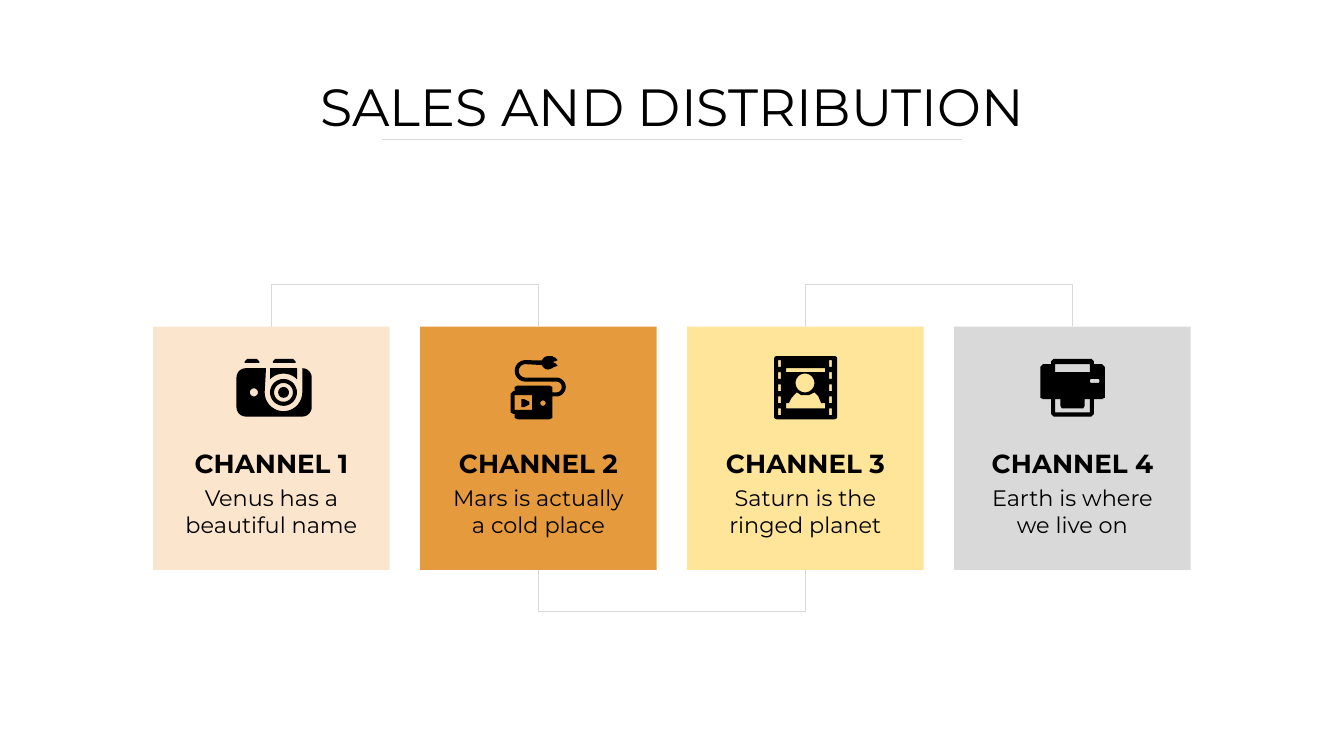
import math

from lxml import etree
from pptx import Presentation, util as u
from pptx.dml.color import RGBColor
from pptx.enum import shapes, text
from pptx.oxml import ns

INK, GREY = "000000", "D9D9D9"


def rgb(code):
    return RGBColor.from_string(code)


# Outline helpers: each gives a list of points in inches
def arc(x, y, r, start, end):
    steps = max(2, math.ceil(abs(end - start) / 10))
    turns = [math.radians(start + (end - start) * i / steps) for i in range(steps + 1)]
    return [(x + r * math.cos(t), y + r * math.sin(t)) for t in turns]


def disc(x, y, r):
    return arc(x, y, r, 0, 360)


def box(x, y, w, h, r=0):
    if not r:
        return [(x, y), (x + w, y), (x + w, y + h), (x, y + h)]
    return (arc(x + r, y + r, r, 180, 270) + arc(x + w - r, y + r, r, 270, 360)
            + arc(x + w - r, y + h - r, r, 0, 90) + arc(x + r, y + h - r, r, 90, 180))


def cap(x, y, w):
    return [(x, y + 0.03), (x, y + 0.02), (x + 0.02, y), (x + w - 0.02, y),
            (x + w, y + 0.02), (x + w, y + 0.03)]


class Deck:
    font = "Montserrat"

    def __init__(self, w, h):
        self.prs = Presentation()
        self.prs.slide_width, self.prs.slide_height = u.Inches(w), u.Inches(h)
        self.slide = self.prs.slides.add_slide(self.prs.slide_layouts[6])
        self.items = self.slide.shapes

    def paint(self, shape, fill):
        shape.shadow.inherit = False
        shape.fill.solid()
        shape.fill.fore_color.rgb = rgb(fill)
        shape.line.fill.background()

    def rect(self, x, y, w, h, fill):
        shape = self.items.add_shape(shapes.MSO_SHAPE.RECTANGLE, *map(u.Inches, (x, y, w, h)))
        self.paint(shape, fill)
        return shape

    def text(self, words, x, y, w, h, size, bold=False, anchor=text.MSO_ANCHOR.TOP):
        frame = self.items.add_textbox(*map(u.Inches, (x, y, w, h))).text_frame
        frame.word_wrap = True
        frame.vertical_anchor = anchor
        frame.margin_left = frame.margin_right = u.Inches(0.1)
        frame.margin_top = frame.margin_bottom = u.Inches(0.1)
        para = frame.paragraphs[0]
        para.text = words
        para.alignment = text.PP_ALIGN.CENTER
        font = para.font
        font.name, font.size, font.bold = self.font, u.Pt(size), bold
        font.color.rgb = rgb(INK)

    def line(self, kind, *ends):
        link = self.items.add_connector(kind, *map(u.Inches, ends))
        link.line.color.rgb = rgb(GREY)
        link.line.width = u.Pt(0.75)
        etree.SubElement(link._element.spPr, ns.qn("a:effectLst"))
        return link

    def loop(self, a, b, site, rise):
        """Join two cards with an elbow that runs above or below them."""
        link = self.line(shapes.MSO_CONNECTOR.ELBOW, 0, 0, 1, 0)
        link.begin_connect(a, site)
        link.end_connect(b, site)
        x, y, span = link.begin_x, link.begin_y, link.end_x - link.begin_x
        # A quarter turn makes the elbow leave the card upright
        thin = 600
        link.left, link.top = x + (span - thin) // 2, y - span // 2
        link.width, link.height = thin, span
        frame = link._element.spPr.find(ns.qn("a:xfrm"))
        frame.set("rot", "16200000")
        frame.set("flipH", "1")
        guides = link._element.spPr.find(ns.qn("a:prstGeom")).get_or_add_avLst()
        bend = round(u.Inches(rise) / thin * 100000)
        etree.SubElement(guides, ns.qn("a:gd"), name="adj1", fmla=f"val {bend}")

    def icon(self, *parts):
        """Draw parts, each a list of an outline and its holes."""
        home = self.items.add_group_shape().shapes if len(parts) > 1 else self.items
        for part in parts:
            rings = [[(u.Inches(x), u.Inches(y)) for x, y in ring] for ring in part]
            pen = home.build_freeform(*rings[0][0])
            pen.add_line_segments(rings[0][1:], close=True)
            for ring in rings[1:]:
                pen.move_to(*ring[0])
                pen.add_line_segments(ring[1:], close=True)
            self.paint(pen.convert_to_shape(), INK)


deck = Deck(10, 10 * 9 / 16)
low = text.MSO_ANCHOR.BOTTOM

# Heading
deck.line(shapes.MSO_CONNECTOR.STRAIGHT, 2.84, 1.04, 7.16, 1.04)
deck.text("SALES AND DISTRIBUTION", 0.59, 0.49, 8.82, 0.63, 28, anchor=low)

# Channel cards
notes = [("FCE5CD", "Venus has a beautiful name"),
         ("E59B3D", "Mars is actually a cold place"),
         ("FFE599", "Saturn is the ringed planet"),
         (GREY, "Earth is where we live on")]
left, wide, pitch = 1.14, 1.76, 5.96 / 3
cards = [deck.rect(left + i * pitch, 2.43, wide, 1.81, fill)
         for i, (fill, _) in enumerate(notes)]

# Links, over and under in turn
for i, (a, b) in enumerate(zip(cards, cards[1:])):
    deck.loop(a, b, *((2, 0.26) if i % 2 else (0, -0.26)))

# Card texts, centred on the cards
for i, (_, note) in enumerate(notes):
    mid = left + i * pitch + wide / 2
    deck.text(note, mid - 1.53 / 2, 3.5, 1.53, 0.59, 12)
    deck.text(f"CHANNEL {i + 1}", mid - 1.65 / 2, 3.14, 1.65, 0.52, 14, True, low)

# Camera
visor = [(2.01, 2.74)] + arc(2.11, 2.92, 0.14, 224, 316) + [(2.21, 2.74)]
body = (arc(1.83, 2.81, 0.07, 270, 180) + arc(1.83, 3.03, 0.07, 180, 90)
        + arc(2.25, 3.03, 0.07, 90, 0) + arc(2.25, 2.81, 0.07, 0, -90)
        + arc(2.11, 2.92, 0.14, 0, 180) + [(1.98, 2.74)])
deck.icon([visor], [disc(2.11, 2.92, 0.1), disc(2.11, 2.92, 0.07)],
          [disc(2.11, 2.92, 0.04)], [body, disc(1.89, 2.92, 0.03)],
          [cap(1.82, 2.67, 0.11)], [cap(2.03, 2.67, 0.17)])

# Player with cable and plug
play = [(3.88, 2.97), (3.9, 2.97), (3.94, 2.99), (3.94, 3.01), (3.9, 3.03), (3.88, 3.03)]
case = [(4.11, 2.92), (4.11, 2.88), (4.09, 2.87), (3.85, 2.87), (3.83, 2.88), (3.83, 2.91),
        (3.82, 2.91), (3.8, 2.93), (3.8, 3.07), (3.82, 3.08), (3.83, 3.08), (3.83, 3.11),
        (3.85, 3.12), (4.09, 3.12), (4.11, 3.11), (4.11, 2.95)]
prongs = [(4.11, 2.74), (4.12, 2.73), (4.13, 2.73), (4.15, 2.72), (4.13, 2.7), (4.12, 2.7),
          (4.12, 2.69), (4.13, 2.69), (4.15, 2.68), (4.13, 2.66), (4.12, 2.66), (4.11, 2.65)]
cord = (arc(4.08, 2.7, 0.05, 270, 200) + arc(3.91, 2.76, 0.08, 270, 90)
        + arc(4.14, 2.88, 0.04, -90, 90) + case
        + arc(4.14, 2.88, 0.07, 90, -90) + arc(3.91, 2.76, 0.05, 90, 270)
        + arc(4.08, 2.7, 0.05, 160, 90) + prongs)
deck.icon([play], [cord, box(3.83, 2.94, 0.13, 0.11), disc(4.04, 3, 0.02)])

# Film frame
holes = [box(x, 2.68 + 0.09 * i, 0.02, 0.05) for x in (5.79, 6.17) for i in range(5)]
bust = [(5.85, 3.04), (5.85, 3), (5.87, 3), (5.89, 2.96), (5.93, 2.92), (5.96, 2.94),
        (6.02, 2.94), (6.06, 2.92), (6.09, 2.95), (6.11, 3), (6.14, 3), (6.14, 3.04)]
deck.icon([box(5.76, 2.65, 0.47, 0.47, 0.02), *holes, box(5.85, 2.74, 0.29, 0.03),
           disc(5.99, 2.85, 0.07), bust])

# Printer
shell = [(7.84, 2.67), (7.82, 2.69), (7.82, 2.71), (7.76, 2.71), (7.74, 2.73), (7.74, 2.96),
         (7.76, 2.97), (7.82, 2.97), (7.82, 3.08), (7.84, 3.1), (8.12, 3.1), (8.14, 3.08),
         (8.14, 2.97), (8.2, 2.97), (8.22, 2.96), (8.22, 2.73), (8.2, 2.71), (8.14, 2.71),
         (8.14, 2.69), (8.12, 2.67)]
tray = [(7.85, 2.97), (7.89, 2.97), (7.89, 3.02), (7.9, 3.04), (8.06, 3.04), (8.07, 3.02),
        (8.07, 2.97), (8.11, 2.97), (8.11, 3.07), (7.85, 3.07)]
deck.icon([shell, box(7.85, 2.71, 0.26, 0.06), box(8.11, 2.82, 0.07, 0.03, 0.01), tray])

deck.prs.save("out.pptx")
